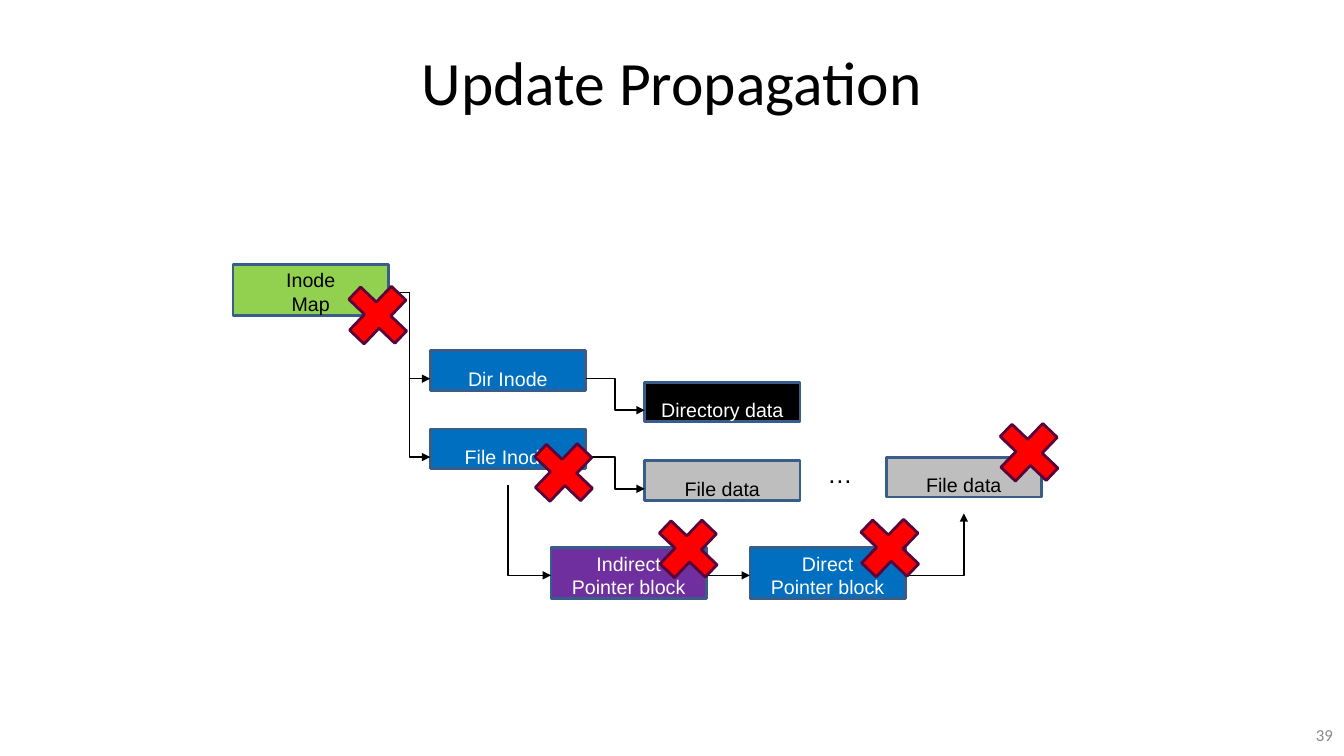
from dataclasses import dataclass
from lxml import etree
from pptx import Presentation
from pptx.dml.color import RGBColor
from pptx.enum.shapes import MSO_CONNECTOR, MSO_SHAPE
from pptx.enum.text import MSO_ANCHOR, PP_ALIGN
from pptx.oxml.ns import qn
from pptx.util import Pt

RECT, PLUS = MSO_SHAPE.RECTANGLE, MSO_SHAPE.CROSS
ELBOW, STRAIGHT = MSO_CONNECTOR.ELBOW, MSO_CONNECTOR.STRAIGHT
TOP, MIDDLE = MSO_ANCHOR.TOP, MSO_ANCHOR.MIDDLE
LEFT, CENTER, RIGHT = PP_ALIGN.LEFT, PP_ALIGN.CENTER, PP_ALIGN.RIGHT


@dataclass(frozen=True)
class Theme:
    heading: str = "Calibri"
    body: str = "Arial"
    title_size: int = 44
    dots_size: int = 18
    label_size: int = 14
    number_size: int = 12
    black: str = "000000"
    white: str = "FFFFFF"
    gray: str = "898989"
    silver: str = "BEBEBE"
    green: str = "92D050"
    blue: str = "006FC0"
    purple: str = "6F2F9F"
    border: str = "385D89"
    red: str = "FF0000"
    maroon: str = "5A033B"


T = Theme()


def write(sp, lines, font, size, color, align, anchor, inset=0, leading=None):
    tf = sp.text_frame
    tf.word_wrap = True
    tf.vertical_anchor = anchor
    tf.margin_left = tf.margin_right = tf.margin_bottom = 0
    tf.margin_top = Pt(inset)
    for i, line in enumerate(lines):
        p = tf.paragraphs[0] if i == 0 else tf.add_paragraph()
        p.alignment = align
        if leading:
            p.line_spacing = Pt(leading)
        r = p.add_run()
        r.text = line
        r.font.name = font
        r.font.size = Pt(size)
        r.font.color.rgb = RGBColor.from_string(color)


def paint(sp, fill, line):
    sp.shadow.inherit = False
    sp.fill.solid()
    sp.fill.fore_color.rgb = RGBColor.from_string(fill)
    sp.line.color.rgb = RGBColor.from_string(line)
    sp.line.width = Pt(2)


prs = Presentation()
prs.slide_width, prs.slide_height = Pt(960), Pt(540)
s = prs.slides.add_slide(prs.slide_layouts[6])

# Title, page number and ellipsis
texts = [
    ("Update Propagation", (48, 21.6, 864, 72.7), T.heading, T.title_size, T.black, CENTER, MIDDLE),
    ("39", (849, 514, 103, 21), T.heading, T.number_size, T.gray, RIGHT, MIDDLE),
    ("…", (591, 327, 20, 24), T.body, T.dots_size, T.black, LEFT, TOP),
]
for text, box, font, size, color, align, anchor in texts:
    sp = s.shapes.add_textbox(*map(Pt, box))
    write(sp, [text], font, size, color, align, anchor)

# Blocks: left, top, fill, text colour, lines
BLOCK_W, PORT = 111, 20
blocks = {
    "map": (166.5, 188.8, T.green, T.black, ["Inode", "Map"]),
    "dir": (307.3, 250.5, T.blue, T.white, ["Dir Inode"]),
    "dir data": (460.5, 273, T.black, T.white, ["Directory data"]),
    "first data": (460.5, 329.2, T.silver, T.black, ["File data"]),
    "indirect": (393.6, 391, T.purple, T.white, ["Indirect", "Pointer block"]),
    "file": (307.3, 306.5, T.blue, T.white, ["File Inode"]),
    "last data": (633, 326.7, T.silver, T.black, ["File data"]),
    "direct": (535.7, 391, T.blue, T.white, ["Direct", "Pointer block"]),
}
for left, top, fill, color, lines in blocks.values():
    tall = len(lines) > 1
    sp = s.shapes.add_shape(RECT, Pt(left), Pt(top), Pt(BLOCK_W), Pt(36.5 if tall else 28.4))
    paint(sp, fill, T.border)
    write(sp, lines, T.body, T.label_size, color, CENTER, TOP,
          3 if tall else 11.3, 16.7 if tall else None)

# Arrows between blocks: side to side, or round a corner under a block
arrows = []
for source, target, kind in [
    ("map", "dir", ELBOW), ("map", "file", ELBOW), ("dir", "dir data", ELBOW),
    ("file", "first data", ELBOW), ("indirect", "direct", STRAIGHT),
]:
    (x1, y1), (x2, y2) = blocks[source][:2], blocks[target][:2]
    arrows.append((kind, x1 + BLOCK_W, y1 + PORT, x2, y2 + PORT, None, "a:tailEnd"))
for side, block, under, head in [
    (0, "indirect", "file", "a:headEnd"), (BLOCK_W, "direct", "last data", "a:tailEnd"),
]:
    (x1, y1), (x2, y2) = blocks[block][:2], blocks[under][:2]
    arrows.append((ELBOW, x1 + side, y1 + PORT, x2 + BLOCK_W / 2, y2 + 40,
                   "bentConnector2", head))

for kind, x1, y1, x2, y2, preset, head in arrows:
    sp = s.shapes.add_connector(kind, Pt(x1), Pt(y1), Pt(x2), Pt(y2))
    sp.line.color.rgb = RGBColor.from_string(T.black)
    sp.line.width = Pt(1)
    spPr = sp._element.spPr
    if preset:
        spPr.find(qn("a:prstGeom")).set("prst", preset)
    etree.SubElement(spPr.find(qn("a:ln")), qn(head), type="triangle")
    etree.SubElement(spPr, qn("a:effectLst"))

# Crosses on every block that must be rewritten
for left, top in [(713.5, 300.4), (614, 368.8), (470, 369.4), (381, 314.8), (248.2, 202.4)]:
    sp = s.shapes.add_shape(PLUS, Pt(left), Pt(top), Pt(43.2), Pt(45.4))
    sp.adjustments[0] = 0.36
    sp.rotation = 313.7
    paint(sp, T.red, T.maroon)

prs.save("out.pptx")
